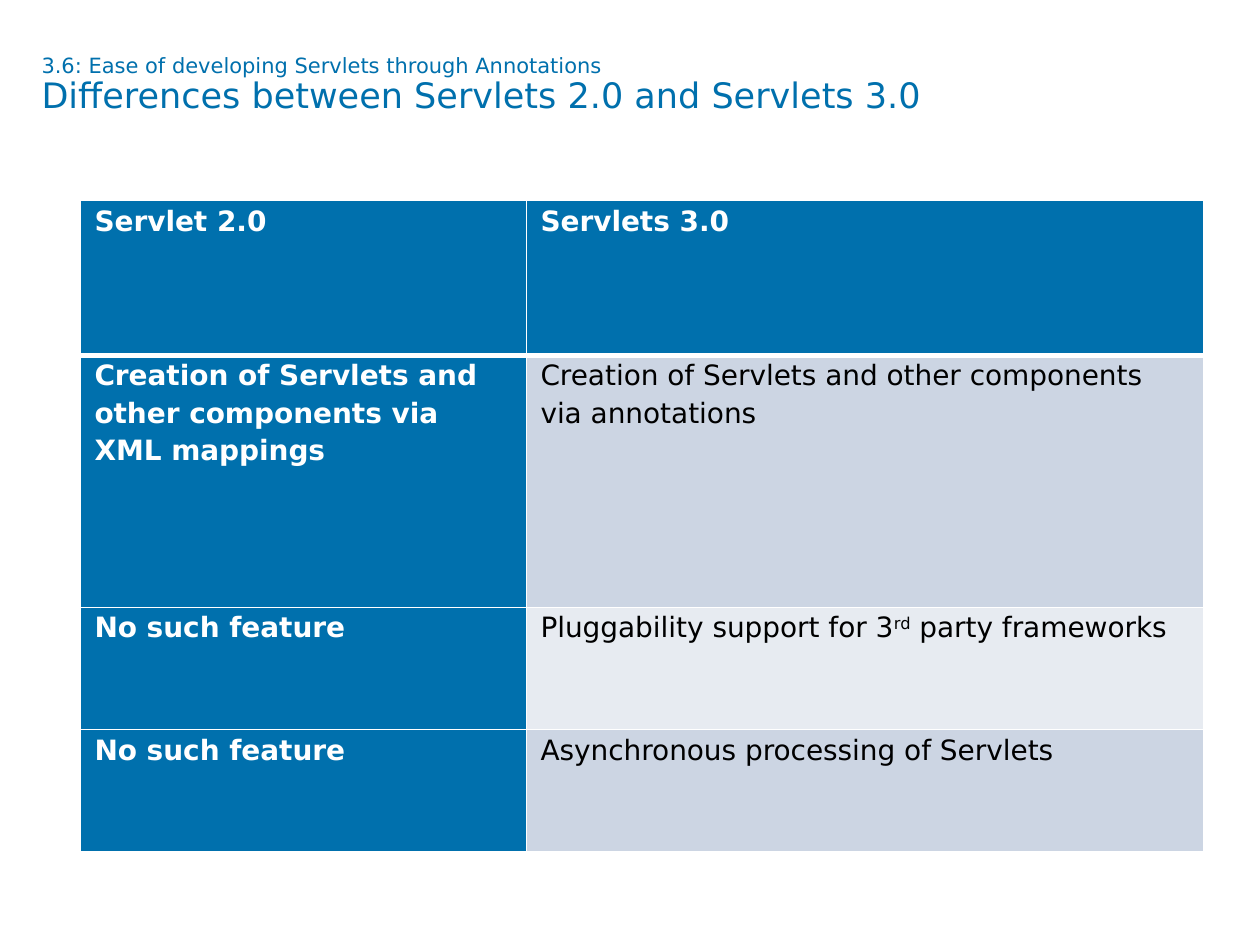
from lxml import etree
from pptx import Presentation
from pptx.dml.color import RGBColor
from pptx.enum import text
from pptx.oxml import ns
from pptx.util import Inches, Pt

BLUE = RGBColor(0x00, 0x70, 0xAD)
WHITE = RGBColor(0xFF, 0xFF, 0xFF)
BLACK = RGBColor(0x00, 0x00, 0x00)
BANDS = (RGBColor(0xCC, 0xD5, 0xE3), RGBColor(0xE7, 0xEB, 0xF1))
FONT = "DejaVu Sans"

SECTION = "3.6: Ease of developing Servlets through Annotations"
TITLE = "Differences between Servlets 2.0 and Servlets 3.0"

# Each cell is a list of runs: (words, superscript)
ROWS = [
    ([("Servlet 2.0", False)], [("Servlets 3.0", False)]),
    ([("Creation of Servlets and other components via XML mappings", False)],
     [("Creation of Servlets and other components via annotations", False)]),
    ([("No such feature", False)],
     [("Pluggability support for 3", False), ("rd", True), (" party frameworks", False)]),
    ([("No such feature", False)], [("Asynchronous processing of Servlets", False)]),
]
COLUMN_WIDTHS = (3.54, 5.37)
ROW_HEIGHTS = (1.23, 2, 0.97, 0.97)
THIN, THICK = 1, 3


def add_run(para, words, **format_values):
    span = para.add_run()
    span.text = words
    color = format_values.pop("color")
    for name, value in {"name": FONT, **format_values}.items():
        setattr(span.font, name, value)
    span.font.color.rgb = color
    return span


def set_borders(cell, widths):
    """Draw white lines on the cell's sides; call before the fill is set."""
    properties = cell._tc.get_or_add_tcPr()
    for side, width in widths.items():
        line = etree.SubElement(properties, ns.qn(f"a:ln{side}"), w=str(Pt(width)))
        fill = etree.SubElement(line, ns.qn("a:solidFill"))
        etree.SubElement(fill, ns.qn("a:srgbClr"), val=str(WHITE))


def add_title(page):
    box = page.shapes.add_textbox(Inches(0.33), Inches(0.44), Inches(9.04), Inches(0.94))
    frame = box.text_frame
    settings = {"word_wrap": True, "vertical_anchor": text.MSO_ANCHOR.TOP,
                "margin_left": 0, "margin_top": 0, "margin_right": 0, "margin_bottom": 0}
    for name, value in settings.items():
        setattr(frame, name, value)
    para = frame.paragraphs[0]
    para.line_spacing = 0.9
    add_run(para, SECTION, size=Pt(12), color=BLUE)
    para.add_line_break()
    add_run(para, TITLE, size=Pt(20), color=BLUE)


def fill_cell(cell, runs, row, column):
    is_heading = row == 0 or column == 0
    set_borders(cell, {"L": THIN, "R": THIN,
                       "T": THICK if row == 1 else THIN,
                       "B": THICK if row == 0 else THIN})
    cell.fill.solid()
    cell.fill.fore_color.rgb = BLUE if is_heading else BANDS[(row - 1) % 2]
    margins = {"margin_left": 0.11, "margin_top": 0, "margin_right": 0.11, "margin_bottom": 0}
    for name, value in margins.items():
        setattr(cell, name, Inches(value))
    para = cell.text_frame.paragraphs[0]
    para.line_spacing = 1.15
    for words, superscript in runs:
        span = add_run(para, words, size=Pt(16), bold=is_heading,
                       color=WHITE if is_heading else BLACK)
        if superscript:
            span.font._element.set("baseline", "30000")


def add_comparison(page):
    frame = page.shapes.add_table(
        len(ROWS), len(COLUMN_WIDTHS), Inches(0.64), Inches(1.59),
        Inches(sum(COLUMN_WIDTHS)), Inches(sum(ROW_HEIGHTS)))
    table = frame.table
    table.first_col = True
    for column, width in zip(table.columns, COLUMN_WIDTHS):
        column.width = Inches(width)
    for row, height in zip(table.rows, ROW_HEIGHTS):
        row.height = Inches(height)
    for r, cells in enumerate(ROWS):
        for c, runs in enumerate(cells):
            fill_cell(table.cell(r, c), runs, r, c)


def main():
    deck = Presentation()
    deck.slide_width, deck.slide_height = Inches(10), Inches(7.5)
    page = deck.slides.add_slide(deck.slide_layouts[6])
    add_title(page)
    add_comparison(page)
    deck.save("out.pptx")


if __name__ == "__main__":
    main()
